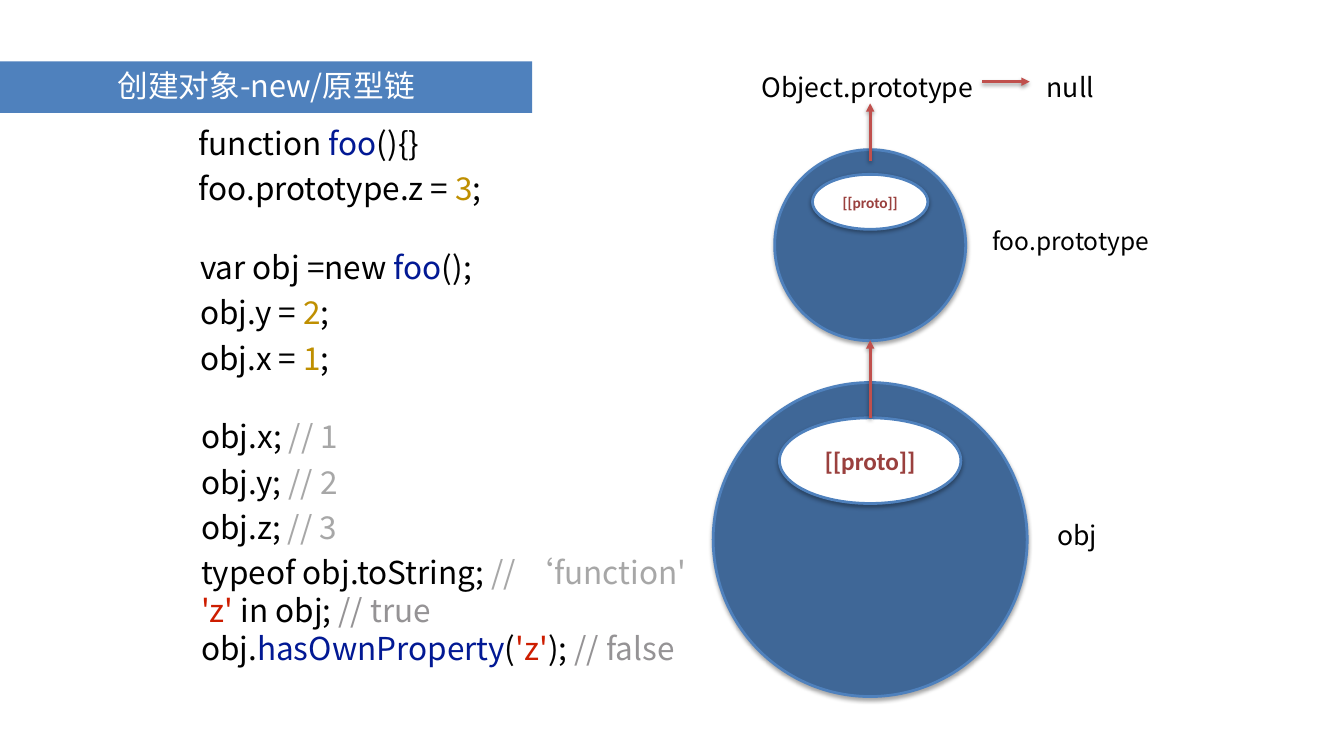
from lxml import etree
from pptx import Presentation
from pptx.dml.color import RGBColor
from pptx.enum.shapes import MSO_CONNECTOR, MSO_SHAPE
from pptx.enum.text import MSO_ANCHOR, MSO_AUTO_SIZE, PP_ALIGN
from pptx.oxml import parse_xml
from pptx.oxml.ns import nsdecls, qn
from pptx.util import Pt

COLORS = {
    "banner": "4F81BD", "disc": "3F6797", "outline": "4F81BD",
    "arrow": "C0504D", "proto": "9A403E", "white": "FFFFFF",
    "text": "000000", "name": "021994", "number": "BF8F00",
    "string": "CD1D00", "note": "A7A7A7", "remark": "959395",
}
SANS = "Noto Sans CJK SC"

DEFINITION = [
    [("function ", "text"), ("foo", "name"), ("(){}", "text")],
    [("foo.prototype.z = ", "text"), ("3", "number"), (";", "text")],
]
CREATION = [
    [("var obj =new ", "text"), ("foo", "name"), ("();", "text")],
    [("obj.y = ", "text"), ("2", "number"), (";", "text")],
    [("obj.x = ", "text"), ("1", "number"), (";", "text")],
]
LOOKUPS = [
    [("obj.x;", "text"), (" // 1", "note")],
    [("obj.y; ", "text"), ("// 2", "note")],
    [("obj.z; ", "text"), ("// 3", "note")],
    [("typeof obj.toString; ", "text"), ("// ‘function'", "note")],
    [("'z'", "string"), (" in obj; ", "text"), ("// true", "remark")],
    [("obj.", "text"), ("hasOwnProperty", "name"), ("(", "text"),
     ("'z'", "string"), ("); ", "text"), ("// false", "remark")],
]


def rgb(key):
    """Return the named colour."""
    return RGBColor.from_string(COLORS[key])


def style_run(span, size, color, font=SANS, bold=False):
    """Set the font of a run for Latin and East Asian text."""
    span.font.size = Pt(size)
    span.font.name = font
    span.font.bold = bold
    span.font.color.rgb = rgb(color)
    latin = span.font._element.find(qn("a:latin"))
    east_asian = etree.Element(qn("a:ea"), typeface=font)
    latin.addnext(east_asian)


def set_insets(frame, inset):
    """Give a text frame the same inset on all sides."""
    frame.margin_left = frame.margin_right = Pt(inset)
    frame.margin_top = frame.margin_bottom = Pt(inset)


def add_shadow(shape, opacity):
    """Put a soft shadow below a shape or connector."""
    shape._element.spPr.append(parse_xml(
        f'<a:effectLst {nsdecls("a")}>'
        f'<a:outerShdw blurRad="{Pt(6)}" dist="{Pt(3)}" dir="5400000" rotWithShape="0">'
        f'<a:srgbClr val="000000"><a:alpha val="{opacity * 1000}"/></a:srgbClr>'
        '</a:outerShdw></a:effectLst>'))


def add_banner(page, left, top, width, height):
    """Turn the title placeholder into the banner."""
    banner = page.shapes.title
    banner.left, banner.top, banner.width, banner.height = map(Pt, (left, top, width, height))
    banner.fill.solid()
    banner.fill.fore_color.rgb = rgb("banner")
    frame = banner.text_frame
    frame.text = "创建对象-new/原型链"
    frame.vertical_anchor = MSO_ANCHOR.MIDDLE
    frame.auto_size = MSO_AUTO_SIZE.NONE
    set_insets(frame, 0)
    para = frame.paragraphs[0]
    para.alignment = PP_ALIGN.CENTER
    para.line_spacing = 0.9
    style_run(para.runs[0], 43.8, "white")


def add_text(page, left, top, width, height, lines, size=45, spacing=1.2,
             align=PP_ALIGN.LEFT, inset=7.2, single_from=None):
    """Add coloured lines of text; lines from single_from on are single spaced."""
    box = page.shapes.add_textbox(Pt(left), Pt(top), Pt(width), Pt(height))
    frame = box.text_frame
    frame.word_wrap = False
    frame.auto_size = MSO_AUTO_SIZE.SHAPE_TO_FIT_TEXT
    set_insets(frame, inset)
    for index, line in enumerate(lines):
        para = frame.paragraphs[0] if index == 0 else frame.add_paragraph()
        para.alignment = align
        single = single_from is not None and index >= single_from
        para.line_spacing = 1.0 if single else spacing
        for text, color in line:
            span = para.add_run()
            span.text = text
            style_run(span, size, color)


def add_label(page, left, top, width, height, text, size=38, **options):
    """Add a black one-line label."""
    add_text(page, left, top, width, height, [[(text, "text")]], size, **options)


def add_oval(page, left, top, width, height, fill):
    """Add an outlined oval with a shadow."""
    oval = page.shapes.add_shape(MSO_SHAPE.OVAL, Pt(left), Pt(top), Pt(width), Pt(height))
    oval.fill.solid()
    oval.fill.fore_color.rgb = rgb(fill)
    oval.line.color.rgb = rgb("outline")
    oval.line.width = Pt(4)
    add_shadow(oval, 35)
    return oval


def add_arrow(page, start, end):
    """Add a red arrow from start to end."""
    arrow = page.shapes.add_connector(MSO_CONNECTOR.STRAIGHT, *map(Pt, (*start, *end)))
    arrow.line.color.rgb = rgb("arrow")
    arrow.line.width = Pt(4)
    arrow.line._get_or_add_ln().append(parse_xml(f'<a:tailEnd {nsdecls("a")} type="triangle"/>'))
    add_shadow(arrow, 38)
    return arrow


def add_object(page, left, top, diameter, proto_top, proto_width, proto_height, size):
    """Add an object disc with its [[proto]] slot and return the slot."""
    add_oval(page, left, top, diameter, diameter, "disc")
    slot = add_oval(page, left + (diameter - proto_width) / 2, top + proto_top,
                    proto_width, proto_height, "white")
    frame = slot.text_frame
    frame.text = "[[proto]]"
    frame.word_wrap = False
    frame.vertical_anchor = MSO_ANCHOR.MIDDLE
    set_insets(frame, 0)
    frame.paragraphs[0].alignment = PP_ALIGN.CENTER
    style_run(frame.paragraphs[0].runs[0], size, "proto", "Calibri", True)
    return slot


def add_code(page, left, top):
    """Add the three blocks of code."""
    add_text(page, left, top, 442.8, 146.2, DEFINITION)
    add_text(page, left + 2.2, top + 177.1, 438.5, 218.2, CREATION)
    add_text(page, left + 10.8, top + 426.2, 740.9, 422.6, LOOKUPS, inset=0, single_from=4)


def add_chain(page, left, top):
    """Add the prototype chain with its labels and arrows."""
    axis = left + 224.3
    centered = {"spacing": 0.9, "align": PP_ALIGN.CENTER}
    add_label(page, left + 61.9, top, 325.4, 64.1, "Object.prototype")
    add_label(page, left + 469.4, top, 82.8, 64.1, "null")
    add_label(page, left + 387.3, top + 235.4, 247, 60.5, "foo.prototype", 35, **centered)
    add_label(page, left + 483.1, top + 653.7, 74.2, 64.1, "obj", **centered)
    obj_slot = add_object(page, left, top + 461.5, 448.6, 50.4, 259.2, 122.4, 36)
    add_object(page, left + 87.85, top + 128.8, 272.9, 35.3, 164.9, 78.5, 22)
    link = add_arrow(page, (axis, top + 511.9), (axis, top + 401))
    link.begin_connect(obj_slot, 0)
    add_arrow(page, (axis, top + 145.4), (axis, top + 62.6))
    add_arrow(page, (left + 384.5, top + 31.7), (left + 452.2, top + 31.7))


def main():
    """Build and save the slide."""
    deck = Presentation()
    deck.slide_width, deck.slide_height = Pt(1920), Pt(1080)
    page = deck.slides.add_slide(deck.slide_layouts[5])
    add_banner(page, 0, 87.8, 760.3, 73.4)
    add_code(page, 276.5, 159.1)
    add_chain(page, 1018.8, 85)
    deck.save("out.pptx")


if __name__ == "__main__":
    main()
